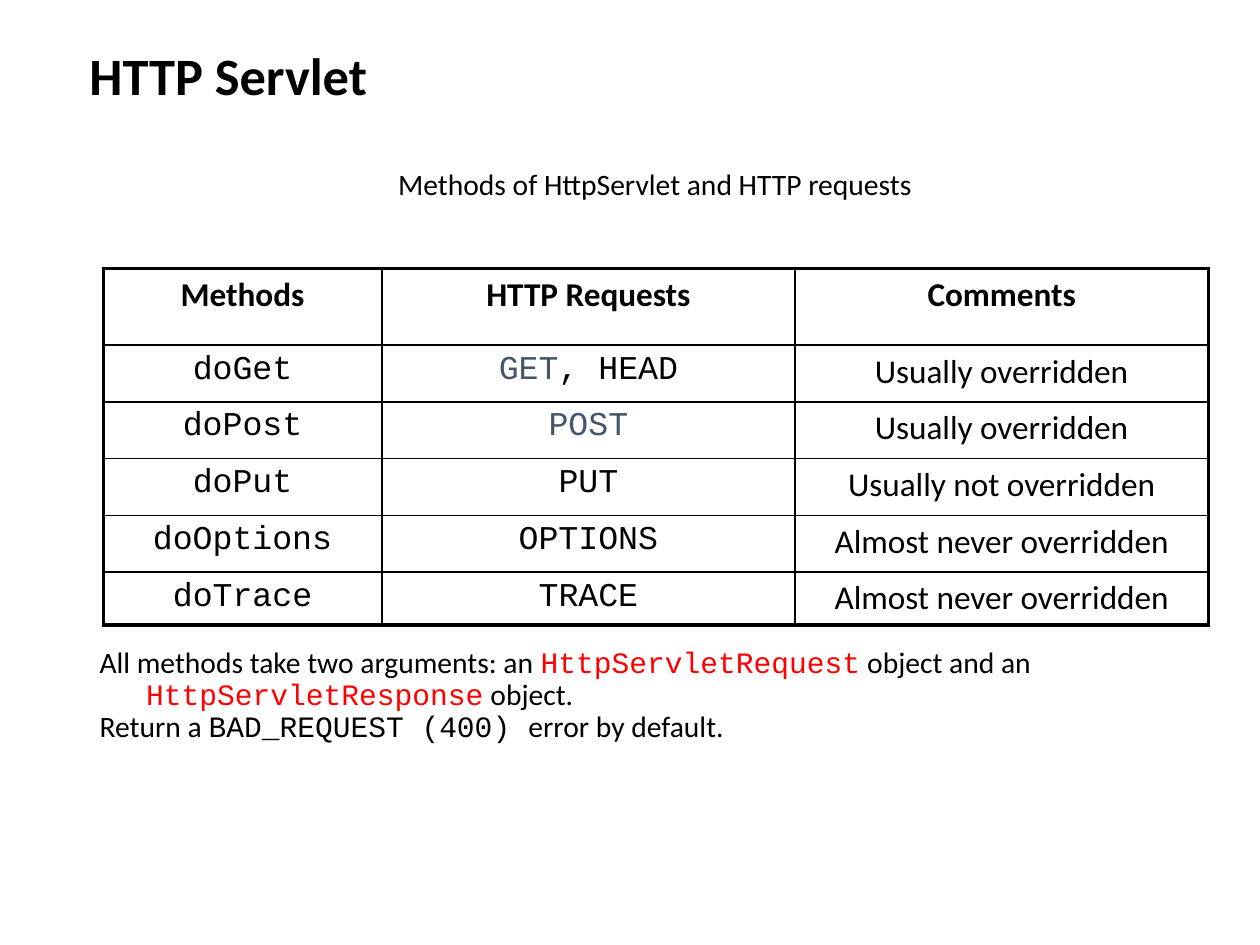
from dataclasses import dataclass

from lxml import etree
from pptx import Presentation
from pptx.dml.color import RGBColor
from pptx.enum import text
from pptx.oxml import ns
from pptx.util import Inches, Pt


@dataclass(frozen=True)
class Theme:
    ink: RGBColor = RGBColor(0, 0, 0)
    accent: RGBColor = RGBColor(0x44, 0x54, 0x6A)
    alert: RGBColor = RGBColor(0xFF, 0, 0)
    sans: str = "Calibri"
    mono: str = "Courier New"
    title: float = 30
    body: float = 16.9
    cell: float = 19
    thin: float = 1
    thick: float = 2.25


theme = Theme()


def write(p, runs, size, align, bold=False):
    p.alignment = align
    p.font.size = Pt(size)
    p.font.bold = bold
    for words, font, color in runs:
        r = p.add_run()
        r.text = words
        r.font.name = font
        r.font.color.rgb = color


def set_border(cell, index, side, width):
    ln = etree.Element(ns.qn(f"a:ln{side}"), w=str(Pt(width)))
    fill = etree.SubElement(ln, ns.qn("a:solidFill"))
    etree.SubElement(fill, ns.qn("a:srgbClr"), val=str(theme.ink))
    cell._tc.get_or_add_tcPr().insert(index, ln)


prs = Presentation()
prs.slide_width, prs.slide_height = Inches(10), Inches(7.5)
s = prs.slides.add_slide(prs.slide_layouts[1])
LEFT, CENTER = text.PP_ALIGN.LEFT, text.PP_ALIGN.CENTER

title, body = s.shapes.title, s.placeholders[1]
for sp, box in ((title, (0.61, 0.35, 8.62, 0.81)), (body, (0.69, 1.3, 9.02, 5.42))):
    sp.left, sp.top, sp.width, sp.height = map(Inches, box)
    sp.text_frame.vertical_anchor = text.MSO_ANCHOR.TOP
    sp.text_frame.auto_size = text.MSO_AUTO_SIZE.NONE
    sp.text_frame.word_wrap = True

p = title.text_frame.paragraphs[0]
p.line_spacing = 0.9
write(p, [("HTTP Servlet", theme.sans, theme.ink)], theme.title, LEFT, bold=True)

paragraphs = [
    (CENTER, 0, [("Methods of HttpServlet and HTTP requests", theme.sans, theme.ink)]),
    (LEFT, 255, [
        ("All methods take two arguments: an ", theme.sans, theme.ink),
        ("HttpServletRequest", theme.mono, theme.alert),
        (" object and an ", theme.sans, theme.ink),
        ("HttpServletResponse", theme.mono, theme.alert),
        (" object.", theme.sans, theme.ink),
    ]),
    (LEFT, 0, [
        ("Return a ", theme.sans, theme.ink),
        ("BAD_REQUEST (400) ", theme.mono, theme.ink),
        ("error by default.", theme.sans, theme.ink),
    ]),
]
tf = body.text_frame
for i, (align, gap, runs) in enumerate(paragraphs):
    p = tf.add_paragraph() if i else tf.paragraphs[0]
    p.line_spacing = 0.9
    p.space_before = Pt(gap)
    write(p, runs, theme.body, align)
    pPr = p._p.get_or_add_pPr()
    pPr.set("marL", str(Inches(0.37)))
    pPr.set("indent", str(Inches(-0.37)))
    bullet = etree.Element(ns.qn("a:buNone"))
    pPr.find(ns.qn("a:spcBef")).addnext(bullet)

rows = [
    ("Methods", [("HTTP Requests", theme.ink)], "Comments"),
    ("doGet", [("GET", theme.accent), (", HEAD", theme.ink)], "Usually overridden"),
    ("doPost", [("POST", theme.accent)], "Usually overridden"),
    ("doPut", [("PUT", theme.ink)], "Usually not overridden"),
    ("doOptions", [("OPTIONS", theme.ink)], "Almost never overridden"),
    ("doTrace", [("TRACE", theme.ink)], "Almost never overridden"),
]
widths = [2.21, 3.28, 3.28]
heights = [0.61, 0.45, 0.45, 0.45, 0.45, 0.41]
table = s.shapes.add_table(
    len(rows), len(widths), Inches(0.82), Inches(2.13),
    Inches(sum(widths)), Inches(sum(heights)),
).table
table.first_row = table.horz_banding = False
for column, width in zip(table.columns, widths):
    column.width = Inches(width)
for row, height in zip(table.rows, heights):
    row.height = Inches(height)

for i, (method, requests, comment) in enumerate(rows):
    code = theme.mono if i else theme.sans
    contents = [
        [(method, code, theme.ink)],
        [(words, code, color) for words, color in requests],
        [(comment, theme.sans, theme.ink)],
    ]
    for j, runs in enumerate(contents):
        cell = table.cell(i, j)
        cell.fill.background()
        write(cell.text_frame.paragraphs[0], runs, theme.cell, CENTER, bold=i == 0)
        outer = {"L": j == 0, "R": j == len(widths) - 1,
                 "T": i == 0, "B": i == len(rows) - 1}
        for index, (side, edge) in enumerate(outer.items()):
            set_border(cell, index, side, theme.thick if edge else theme.thin)

prs.save("out.pptx")
